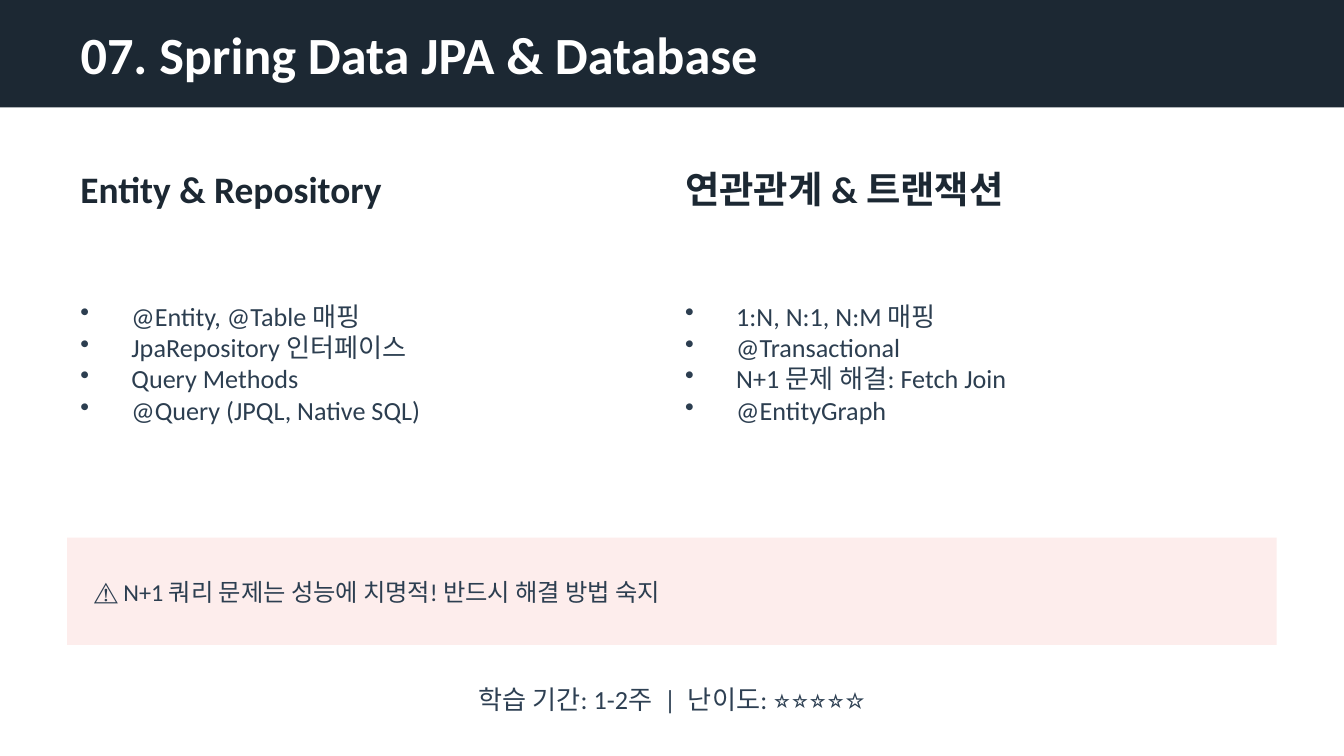
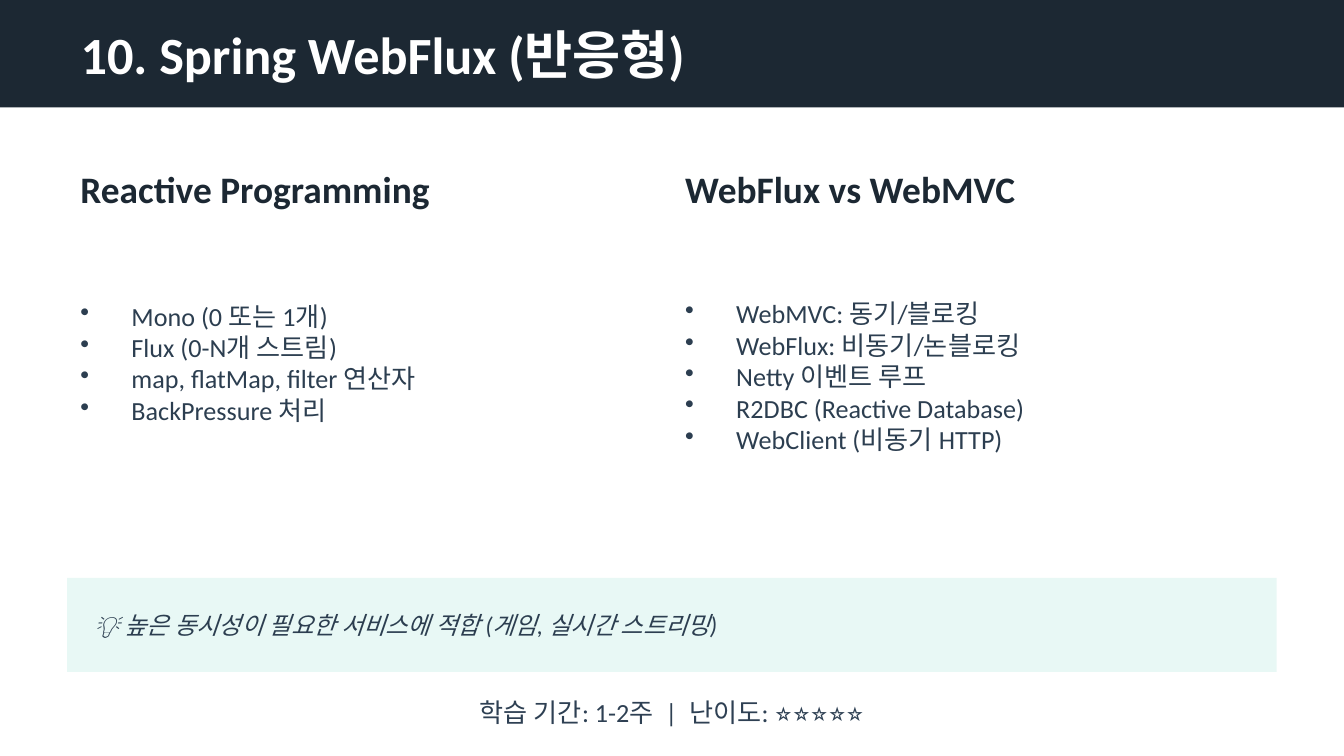
from lxml.etree import SubElement
from pptx import Presentation
from pptx.dml.color import RGBColor
from pptx.enum.shapes import MSO_SHAPE as Shape
from pptx.enum.text import MSO_ANCHOR as Anchor, MSO_AUTO_SIZE as AutoSize, PP_ALIGN as Align
from pptx.oxml.ns import qn
from pptx.util import Inches, Pt

FONT = "Calibri"
CELL = Inches(0.1)
COLUMNS, ROWS = 100, 56.25
MARGIN, MIDDLE = 5, 50
CONTENT = COLUMNS - 2 * MARGIN
INDENT = Inches(0.38)
COLORS = {
    "navy": "1C2833",
    "white": "FFFFFF",
    "body": "2C3E50",
    "footer": "2E4053",
    "warning": "FDEDEC",
    "tip": "E8F8F5",
}


def color(name):
    """Look up a palette colour."""
    return RGBColor.from_string(COLORS[name])


def cells(*lengths):
    """Turn grid cells into slide lengths."""
    return [round(length * CELL) for length in lengths]


def write(box, text, size, tone, bold=False, italic=False, align=Align.LEFT):
    """Fill a box with uniformly formatted, vertically centred text."""
    frame = box.text_frame
    frame.text = text
    frame.word_wrap = True
    frame.auto_size = AutoSize.NONE
    frame.vertical_anchor = Anchor.MIDDLE
    for para in frame.paragraphs:
        para.alignment = align
        for span in para.runs:
            font = span.font
            font.name, font.size = FONT, Pt(size)
            font.bold, font.italic = bold, italic
            font.color.rgb = color(tone)


def add_text(page, area, text, size, tone, **style):
    """Add a text box on the grid."""
    box = page.shapes.add_textbox(*cells(*area))
    write(box, text, size, tone, **style)
    return box


def add_panel(page, area, tone):
    """Add a plain filled rectangle on the grid."""
    panel = page.shapes.add_shape(Shape.RECTANGLE, *cells(*area))
    panel.shadow.inherit = False
    panel.fill.solid()
    panel.fill.fore_color.rgb = color(tone)
    panel.line.fill.background()
    return panel


def add_header(page, text):
    """Place the title over a full-width band."""
    band = add_panel(page, (0, 0, COLUMNS, 8), "navy")
    title = page.shapes.title
    band._element.addnext(title._element)
    title.left, title.top, title.width, title.height = cells(MARGIN, 2, CONTENT, 4)
    write(title, text, 28, "white", bold=True)


def add_topic(page, left, width, heading, items, height=20):
    """Add a heading with its bulleted list."""
    add_text(page, (left, 12, width, 4), heading, 20, "navy", bold=True)
    box = add_text(page, (left, 17, width, height), "\n".join(items), 14, "body")
    for para in box.text_frame.paragraphs:
        props = para._p.get_or_add_pPr()
        props.set("marL", str(INDENT))
        props.set("indent", str(-INDENT))
        SubElement(props, qn("a:buChar")).set("char", "•")


def add_callout(page, top, height, inset, text, tone, italic=False):
    """Add a tinted note across the content width."""
    add_panel(page, (MARGIN, top, CONTENT, height), tone)
    area = (MARGIN + 1, top + inset, CONTENT - 2, height - 2 * inset)
    add_text(page, area, text, 13, "body", italic=italic)


def add_footer(page, top, stars):
    """Add the centred study time and difficulty line."""
    text = f"학습 기간: 1-2주  |  난이도: {stars}"
    add_text(page, (MARGIN, top, CONTENT, 4), text, 14, "footer", align=Align.CENTER)


def add_page(deck, title):
    """Add a title-only slide with its header."""
    page = deck.slides.add_slide(deck.slide_layouts.get_by_name("Title Only"))
    add_header(page, title)
    return page


def add_database_page(deck):
    """Build the persistence slide."""
    page = add_page(deck, "07. Spring Data JPA & Database")
    add_topic(page, MARGIN, 40, "Entity & Repository", [
        "@Entity, @Table 매핑",
        "JpaRepository 인터페이스",
        "Query Methods",
        "@Query (JPQL, Native SQL)",
    ])
    add_topic(page, MIDDLE, 45, "연관관계 & 트랜잭션", [
        "1:N, N:1, N:M 매핑",
        "@Transactional",
        "N+1 문제 해결: Fetch Join",
        "@EntityGraph",
    ])
    add_callout(page, 40, 8, 2, "⚠️ N+1 쿼리 문제는 성능에 치명적! 반드시 해결 방법 숙지", "warning")
    add_footer(page, 50, "⭐⭐⭐⭐☆")


def add_reactive_page(deck):
    """Build the reactive programming slide."""
    page = add_page(deck, "10. Spring WebFlux (반응형)")
    add_topic(page, MARGIN, 40, "Reactive Programming", [
        "Mono (0 또는 1개)",
        "Flux (0-N개 스트림)",
        "map, flatMap, filter 연산자",
        "BackPressure 처리",
    ])
    add_topic(page, MIDDLE, 45, "WebFlux vs WebMVC", [
        "WebMVC: 동기/블로킹",
        "WebFlux: 비동기/논블로킹",
        "Netty 이벤트 루프",
        "R2DBC (Reactive Database)",
        "WebClient (비동기 HTTP)",
    ], height=22)
    add_callout(page, 43, 7, 1, "💡 높은 동시성이 필요한 서비스에 적합 (게임, 실시간 스트리밍)", "tip", italic=True)
    add_footer(page, 51, "⭐⭐⭐⭐⭐")


def main():
    """Build and save the deck."""
    deck = Presentation()
    deck.slide_width, deck.slide_height = cells(COLUMNS, ROWS)
    add_database_page(deck)
    add_reactive_page(deck)
    deck.save("out.pptx")


if __name__ == "__main__":
    main()
